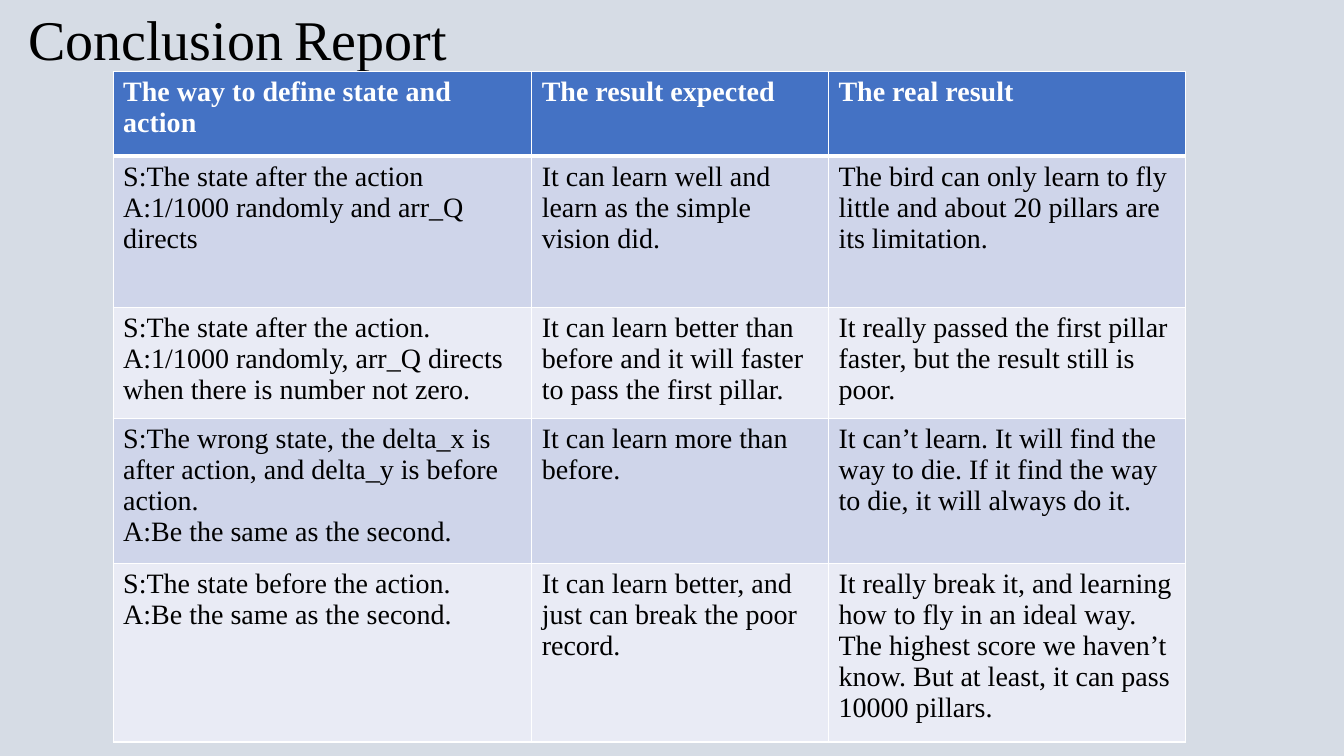
import pptx
import pptx.dml.color
import pptx.enum.text
import pptx.oxml
import pptx.oxml.ns
import pptx.util

Pt = pptx.util.Pt
RGB = pptx.dml.color.RGBColor

BACK = RGB(0xD6, 0xDC, 0xE5)
BLACK = RGB(0, 0, 0)
WHITE = RGB(0xFF, 0xFF, 0xFF)
BLUE = RGB(0x44, 0x72, 0xC4)
BANDS = [RGB(0xE9, 0xEB, 0xF5), RGB(0xCF, 0xD5, 0xEA)]
FONT = "Times New Roman"

COLS = [299, 212, 255]
ROWS = [60.5, 108, 79.5, 103.5, 127.5]
# Each cell is a list of paragraphs
CELLS = [
    [["The way to define state and action"],
     ["The result expected"],
     ["The real result"]],
    [["S:The state after the action",
      "A:1/1000 randomly and arr_Q directs"],
     ["It can learn well and learn as the simple vision did."],
     ["The bird can only learn to fly little and about 20 pillars are "
      "its limitation."]],
    [["S:The state after the action.",
      "A:1/1000 randomly, arr_Q directs when there is number not zero."],
     ["It can learn better than before and it will faster to pass the "
      "first pillar."],
     ["It really passed the first pillar faster, but the result still "
      "is poor."]],
    [["S:The wrong state, the delta_x is after action, and delta_y is "
      "before action.",
      "A:Be the same as the second."],
     ["It can learn more than before."],
     ["It can’t learn. It will find the way to die. If it find the way "
      "to die, it will always do it."]],
    [["S:The state before the action.",
      "A:Be the same as the second."],
     ["It can learn better, and just can break the poor record."],
     ["It really break it, and learning how to fly in an ideal way. The "
      "highest score we haven’t know. But at least, it can pass 10000 "
      "pillars."]],
]


def add_run(para, text, size, color, bold=False):
    run = para.add_run()
    run.text = text
    font = run.font
    font.name, font.size, font.bold = FONT, Pt(size), bold
    font.color.rgb = color


def set_edges(cell, widths):
    """Give the cell white borders; widths maps a side (L, R, T, B) to points."""
    props = cell._tc.get_or_add_tcPr()
    for spot, (side, width) in enumerate(widths.items()):
        props.insert(spot, pptx.oxml.parse_xml(
            f'<a:ln{side} {pptx.oxml.ns.nsdecls("a")} w="{Pt(width)}">'
            f'<a:solidFill><a:srgbClr val="{WHITE}"/></a:solidFill>'
            f'</a:ln{side}>'))


def draw_title(slide, left, top, width, height):
    title = slide.shapes.title
    title.left, title.top = Pt(left), Pt(top)
    title.width, title.height = Pt(width), Pt(height)
    frame = title.text_frame
    frame.word_wrap = True
    frame.auto_size = pptx.enum.text.MSO_AUTO_SIZE.NONE
    frame.vertical_anchor = pptx.enum.text.MSO_ANCHOR.TOP
    para = frame.paragraphs[0]
    para.alignment = pptx.enum.text.PP_ALIGN.LEFT
    para.line_spacing = 1.0
    for text, size in [("Conclusion", 40), (" ", 32), ("Report", 40)]:
        add_run(para, text, size, BLACK)


def draw_table(slide, left, top):
    table = slide.shapes.add_table(
        len(ROWS), len(COLS), Pt(left), Pt(top),
        Pt(sum(COLS)), Pt(sum(ROWS))).table
    for col, width in zip(table.columns, COLS):
        col.width = Pt(width)
    for row, height in zip(table.rows, ROWS):
        row.height = Pt(height)

    for r, line in enumerate(CELLS):
        head = r == 0
        for c, paras in enumerate(line):
            cell = table.cell(r, c)
            # Thick rule between the header and the body
            set_edges(cell, {"L": 1, "R": 1, "T": 3 if r == 1 else 1,
                             "B": 3 if head else 1})
            cell.fill.solid()
            cell.fill.fore_color.rgb = BLUE if head else BANDS[r % 2]
            frame = cell.text_frame
            for i, text in enumerate(paras):
                para = frame.add_paragraph() if i else frame.paragraphs[0]
                add_run(para, text, 20, WHITE if head else BLACK, head)


def main():
    deck = pptx.Presentation()
    deck.slide_width, deck.slide_height = Pt(960), Pt(540)
    slide = deck.slides.add_slide(deck.slide_layouts.get_by_name("Title Only"))
    slide.background.fill.solid()
    slide.background.fill.fore_color.rgb = BACK
    draw_title(slide, 13, -0.7, 420, 55.5)
    draw_table(slide, 80.8, 51)
    deck.save("out.pptx")


if __name__ == "__main__":
    main()
